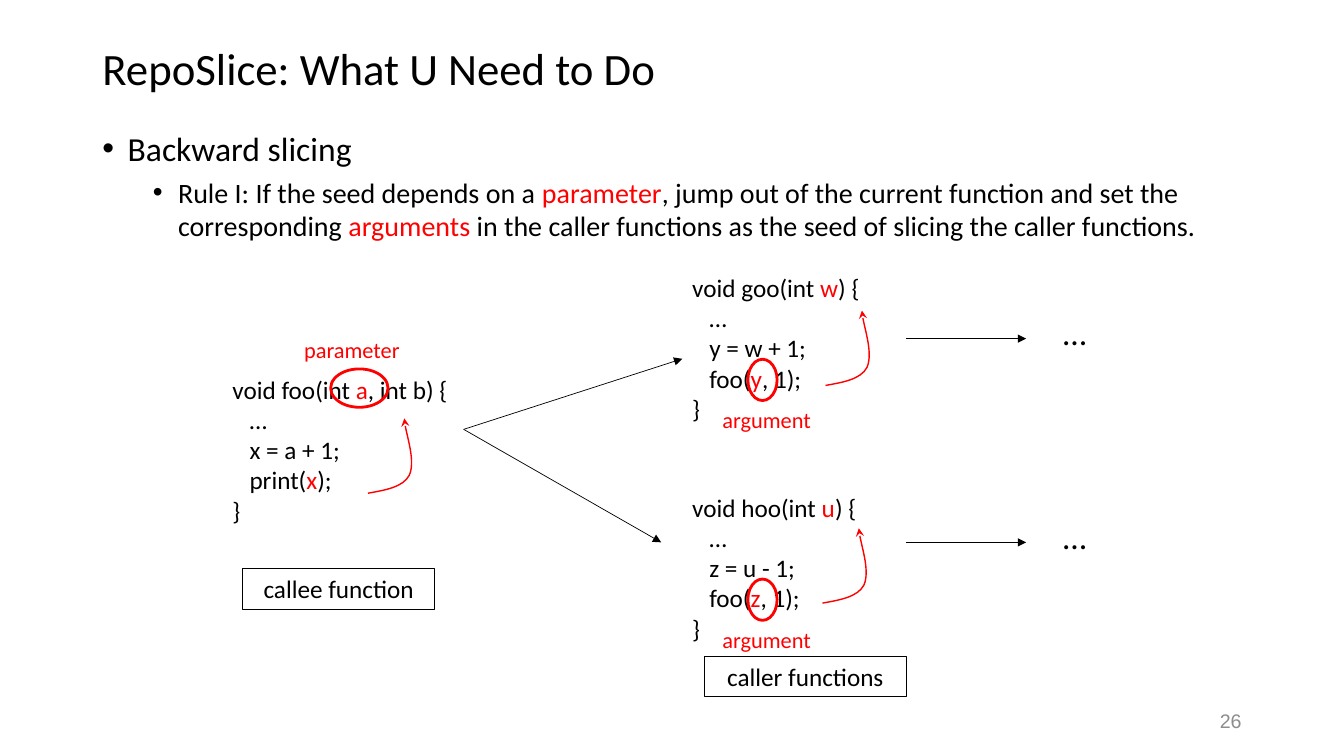
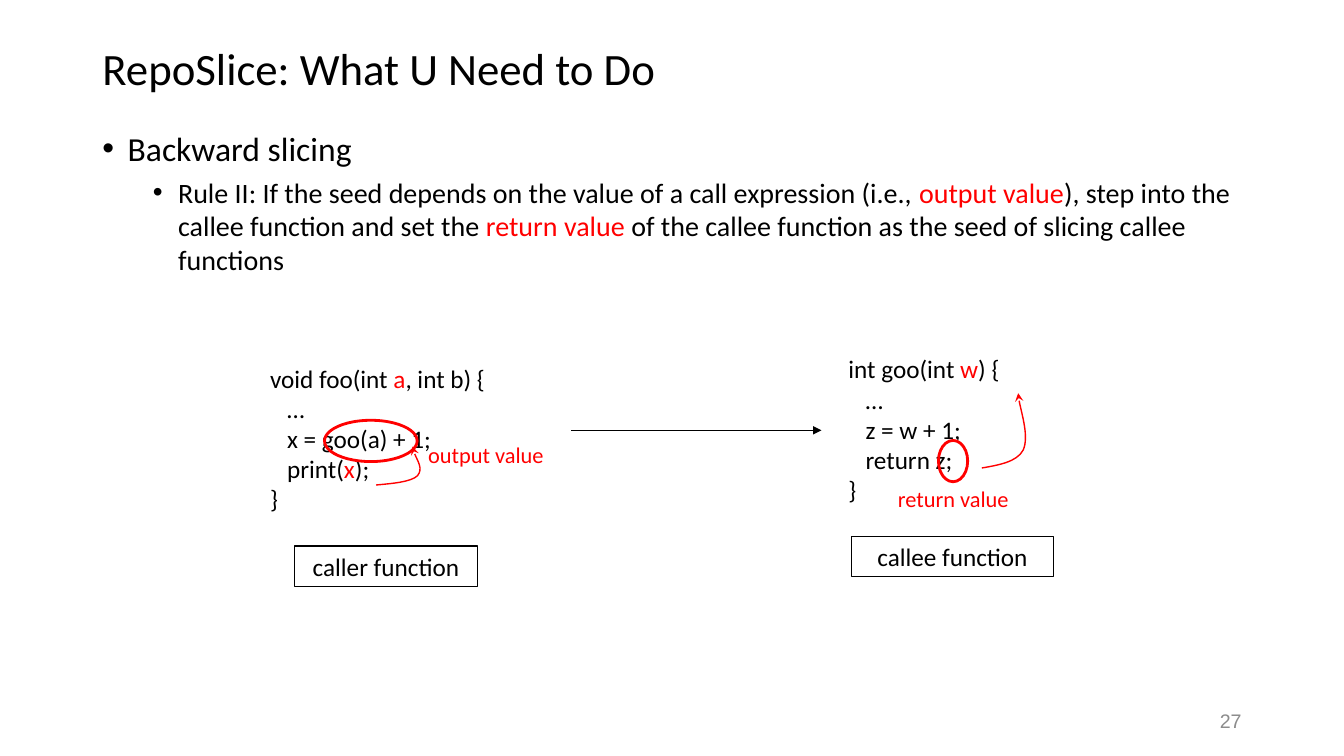
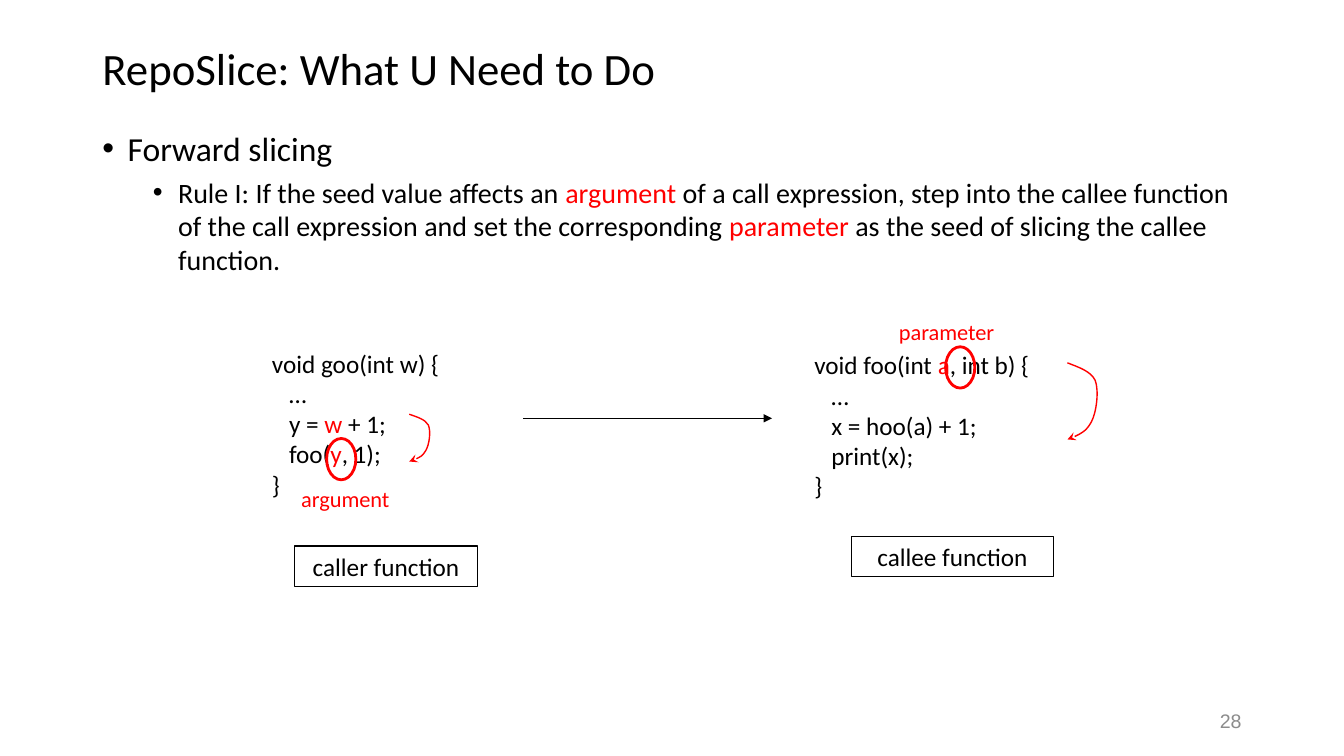
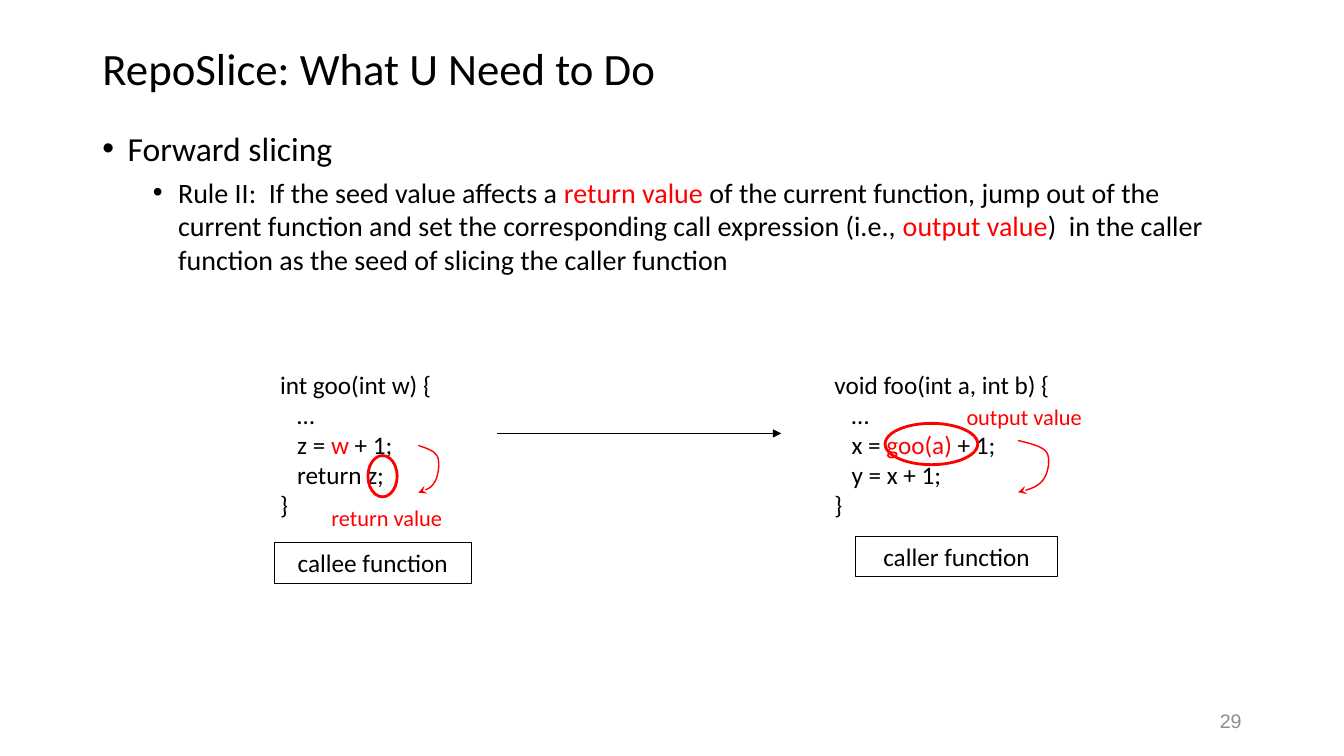
from pptx import Presentation
from pptx.dml.color import RGBColor
from pptx.enum import shapes, text
from pptx.oxml.xmlchemy import OxmlElement
from pptx.util import Pt

BLACK, RED, GREY = "000000", "FF0000", "8C8C8C"
TITLE = "RepoSlice: What U Need to Do"
CODE_INDENT = 12.2

# Curves in a unit square: a start point, then three points per Bezier segment.
RISING = [(0, 1), (0.4, 0.96), (0.83, 0.92), (0.98, 0.76),
          (1.12, 0.58), (0.86, 0.12), (0.86, 0)]
FALLING = [(0, 0), (0.4, 0.06), (0.8, 0.11), (0.95, 0.23), (1.08, 0.36),
           (1, 0.64), (0.82, 0.77), (0.65, 0.89), (0.32, 0.96), (0, 1)]


def color(value):
    return RGBColor.from_string(value)


def place(shape, left, top, width, height):
    shape.left, shape.top = Pt(left), Pt(top)
    shape.width, shape.height = Pt(width), Pt(height)


def write(paragraph, content, size, ink=BLACK, font="Calibri"):
    """Fill a paragraph; the parts between | signs become red."""
    for index, part in enumerate(content.split("|")):
        if part:
            run = paragraph.add_run()
            run.text = part
            run.font.name, run.font.size = font, Pt(size)
            run.font.color.rgb = color(RED if index % 2 else ink)


def set_indent(paragraph, margin, first_line=0):
    properties = paragraph._p.get_or_add_pPr()
    properties.set("marL", str(Pt(margin)))
    properties.set("indent", str(Pt(first_line)))
    return properties


def add_bullet(paragraph, margin):
    properties = set_indent(paragraph, margin, -18)
    for tag, name, value in (("a:buFont", "typeface", "Arial"), ("a:buChar", "char", "•")):
        item = OxmlElement(tag)
        item.set(name, value)
        properties.append(item)


def set_line(shape, ink, width, head=None):
    shape.line.color.rgb = color(ink)
    shape.line.width = Pt(width)
    if head:
        end = OxmlElement("a:tailEnd")
        end.set("type", head)
        shape.element.xpath(".//a:ln")[0].append(end)


def add_text(slide, left, top, width, height, lines, size, ink=BLACK, font="Calibri"):
    box = slide.shapes.add_textbox(Pt(left), Pt(top), Pt(width), Pt(height))
    frame = box.text_frame
    frame.word_wrap = True
    for index, line in enumerate(lines):
        paragraph = frame.add_paragraph() if index else frame.paragraphs[0]
        write(paragraph, line, size, ink, font)
    return frame


def add_code(slide, left, top, *lines):
    """A function listing: all lines between the first and the last are indented."""
    frame = add_text(slide, left, top, 211, 116.6, lines, 18)
    for paragraph in frame.paragraphs[1:-1]:
        set_indent(paragraph, CODE_INDENT)


def add_label(slide, left, top, content, width=93):
    add_text(slide, left, top, width, 26.6, [content], 16, RED)


def add_outline(slide, kind, left, top, width, height, ink, weight):
    shape = slide.shapes.add_shape(kind, Pt(left), Pt(top), Pt(width), Pt(height))
    shape.shadow.inherit = False
    shape.fill.background()
    set_line(shape, ink, weight)
    return shape


def add_caption(slide, left, top, width, content):
    shape = add_outline(slide, shapes.MSO_SHAPE.RECTANGLE, left, top, width, 29.1, BLACK, 0.75)
    frame = shape.text_frame
    frame.vertical_anchor = text.MSO_ANCHOR.TOP
    frame.paragraphs[0].alignment = text.PP_ALIGN.CENTER
    write(frame.paragraphs[0], content, 18)


def add_ring(slide, left, top, width=20.9, height=29.5):
    add_outline(slide, shapes.MSO_SHAPE.OVAL, left, top, width, height, RED, 2)


def add_arrow(slide, x1, y1, x2, y2):
    arrow = slide.shapes.add_connector(
        shapes.MSO_CONNECTOR.STRAIGHT, Pt(x1), Pt(y1), Pt(x2), Pt(y2))
    set_line(arrow, BLACK, 0.5, "triangle")
    arrow.element.spPr.append(OxmlElement("a:effectLst"))


def add_hook(slide, curve, left, top, width, height):
    """A curved red arrow, scaled from a curve in the unit square."""
    points = [(Pt(left + x * width), Pt(top + y * height)) for x, y in curve]
    builder = slide.shapes.build_freeform(*points[0])
    builder.add_line_segments(points[1:], close=False)
    shape = builder.convert_to_shape()
    segments = shape.element.xpath(".//a:lnTo")
    for start in range(0, len(segments), 3):
        bezier = OxmlElement("a:cubicBezTo")
        segments[start].addprevious(bezier)
        for segment in segments[start:start + 3]:
            bezier.append(segment[0])
            segment.getparent().remove(segment)
    shape.shadow.inherit = False
    shape.fill.background()
    set_line(shape, RED, 1, "stealth")


def add_slide(presentation, number, heading, rule, body_height=398):
    """A slide with the shared title, bullet list and page number."""
    slide = presentation.slides.add_slide(presentation.slide_layouts[1])
    title, body = slide.placeholders
    place(title, 66, 28.8, 828, 44)
    place(body, 66, 87.8, 828, body_height)

    for shape in (title, body):
        shape.text_frame.auto_size = text.MSO_AUTO_SIZE.NONE
    title.text_frame.vertical_anchor = text.MSO_ANCHOR.MIDDLE
    paragraph = title.text_frame.paragraphs[0]
    paragraph.alignment = text.PP_ALIGN.LEFT
    paragraph.line_spacing = 0.9
    write(paragraph, TITLE, 32)

    frame = body.text_frame
    items = ((heading, 24, 10, 18), (rule, 20, 5, 54))
    for level, (content, size, space, margin) in enumerate(items):
        paragraph = frame.add_paragraph() if level else frame.paragraphs[0]
        paragraph.level = level
        paragraph.space_before = Pt(space)
        add_bullet(paragraph, margin)
        write(paragraph, content, size)

    frame = add_text(slide, 678, 500.4, 216, 28.8, [str(number)], 14, GREY, "Arial")
    frame.vertical_anchor = text.MSO_ANCHOR.MIDDLE
    frame.paragraphs[0].alignment = text.PP_ALIGN.RIGHT
    return slide


def backward_parameter(presentation):
    slide = add_slide(
        presentation, 26, "Backward slicing",
        "Rule I: If the seed depends on a |parameter|, jump out of the current function and set "
        "the corresponding |arguments |in the caller functions as the seed of slicing the caller "
        "functions.", 116.6)
    add_code(slide, 159, 263.5, "void foo(int |a|, int b) {", "…", "x = a + 1;", "print(|x|);", "}")
    add_hook(slide, RISING, 262.8, 298.8, 30.2, 53.5)
    add_ring(slide, 236.2, 263.5, 41, 27.4)
    add_label(slide, 210.2, 236.9, "parameter")
    add_caption(slide, 173.5, 406, 136.8, "callee function")
    add_arrow(slide, 331.2, 306.7, 487.4, 256.3)
    add_arrow(slide, 331.2, 306.7, 472.3, 387.4)

    callers = (
        (190.8, "void goo(int |w|) {", "y = w + 1;", "foo(|y|, 1);", 589.7, 221.8, 241.9),
        (347.8, "void hoo(int |u|) {", "z = u - 1;", "foo(|z|, 1);", 587.5, 377.3, 387.4),
    )
    for top, header, assignment, call, hook_left, hook_top, arrow_y in callers:
        add_code(slide, 487.4, top, header, "…", assignment, call, "}")
        add_hook(slide, RISING, hook_left, hook_top, 30.2, 53.5)
        add_ring(slide, 534.2, top + 65.8)
        add_label(slide, 509, top + 95.7, "argument")
        add_arrow(slide, 647.3, arrow_y, 733, arrow_y)
        add_text(slide, 752.4, arrow_y - 22.6, 77, 36, ["…"], 24)
    add_caption(slide, 503.3, 468.7, 144, "caller functions")


def backward_output(presentation):
    slide = add_slide(
        presentation, 27, "Backward slicing",
        "Rule II: If the seed depends on the value of a call expression (i.e., |output value|), "
        "step into the callee function and set the |return value |of the callee function as the "
        "seed of slicing callee functions")
    add_code(slide, 185.8, 255.6,
             "void foo(int |a|, int b) {", "…", "x = goo(a) + 1;", "print(|x|);", "}")
    add_hook(slide, RISING, 268.6, 319, 30.2, 27.4)
    add_ring(slide, 231.8, 300.2, 66.2)
    add_label(slide, 298.8, 311.8, "output value", 109.4)
    add_caption(slide, 210.2, 390, 131, "caller function")
    add_arrow(slide, 408.2, 307.4, 586.8, 307.4)
    add_code(slide, 599, 249.1, "int goo(int |w|) {", "…", "z = w + 1;", "return z;", "}")
    add_hook(slide, RISING, 701.3, 280.8, 30.2, 53.5)
    add_ring(slide, 670.3, 314.6)
    add_label(slide, 634.3, 342.7, "return value", 119.5)
    add_caption(slide, 608.4, 383, 144, "callee function")


def forward_argument(presentation):
    slide = add_slide(
        presentation, 28, "Forward slicing",
        "Rule I: If the seed value affects an |argument |of a call expression, step into the "
        "callee function of the call expression and set the corresponding |parameter |as the "
        "seed of slicing the callee function.")
    add_code(slide, 187.2, 245, "void goo(int w) {", "…", "y = |w |+ 1;", "foo(|y|, 1);", "}")
    add_hook(slide, FALLING, 292.3, 295.9, 14.4, 33.8)
    add_ring(slide, 233.3, 313.2)
    add_label(slide, 208, 342.7, "argument")
    add_caption(slide, 210.2, 390, 131, "caller function")
    add_arrow(slide, 373.7, 298.8, 551.5, 298.8)
    add_code(slide, 574.6, 246.2,
             "void foo(int |a|, int b) {", "…", "x = hoo(a) + 1;", "print(x);", "}")
    add_hook(slide, FALLING, 762.5, 259.2, 20.9, 54.7)
    add_ring(slide, 675.4, 247.7)
    add_label(slide, 635, 223.9, "parameter")
    add_caption(slide, 608.4, 383, 144, "callee function")


def forward_return(presentation):
    slide = add_slide(
        presentation, 29, "Forward slicing",
        "Rule II:  If the seed value affects a |return value |of the current function, jump out "
        "of the current function and set the corresponding call expression (i.e., "
        "|output value|)  in the caller function as the seed of slicing the caller function")
    add_code(slide, 193, 259.9, "int goo(int w) {", "…", "z = |w |+ 1;", "return z;", "}")
    add_hook(slide, FALLING, 298.8, 318.2, 14.4, 33.8)
    add_ring(slide, 262.8, 325.4)
    add_label(slide, 229.7, 356.4, "return value", 108)
    add_caption(slide, 195.8, 387.4, 141, "callee function")
    add_arrow(slide, 355, 309.6, 558, 309.6)
    add_code(slide, 589, 259.9,
             "void foo(int a, int b) {", "…", "x = |goo(a) |+ 1;", "y = x + 1;", "}")
    add_hook(slide, FALLING, 727.2, 314.6, 21.6, 37)
    add_ring(slide, 632.2, 302.4, 66.2)
    add_label(slide, 683.3, 284.4, "output value", 109.4)
    add_caption(slide, 611.3, 383, 144, "caller function")


def main():
    presentation = Presentation()
    presentation.slide_width, presentation.slide_height = Pt(960), Pt(540)
    backward_parameter(presentation)
    backward_output(presentation)
    forward_argument(presentation)
    forward_return(presentation)
    presentation.save("out.pptx")


if __name__ == "__main__":
    main()
